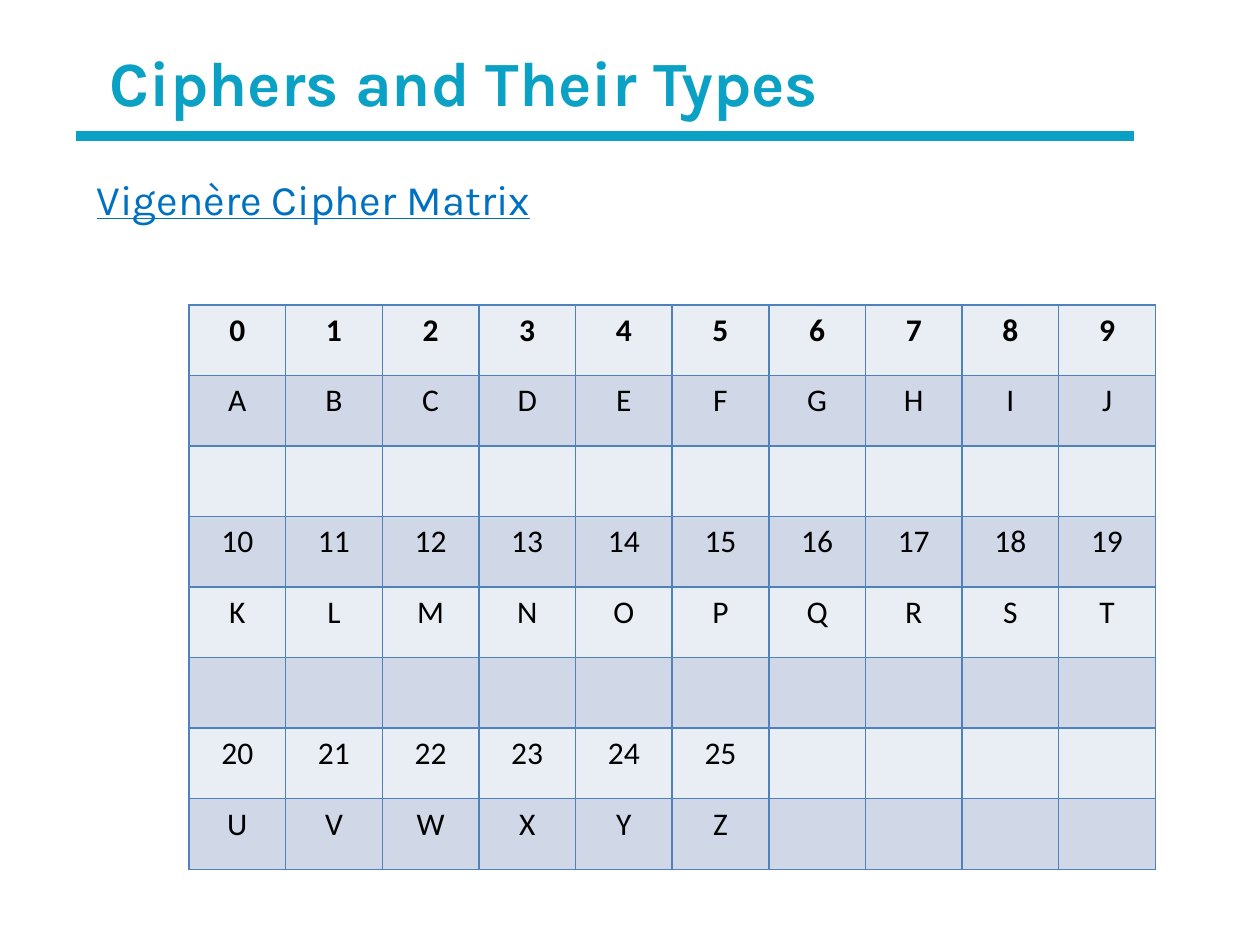
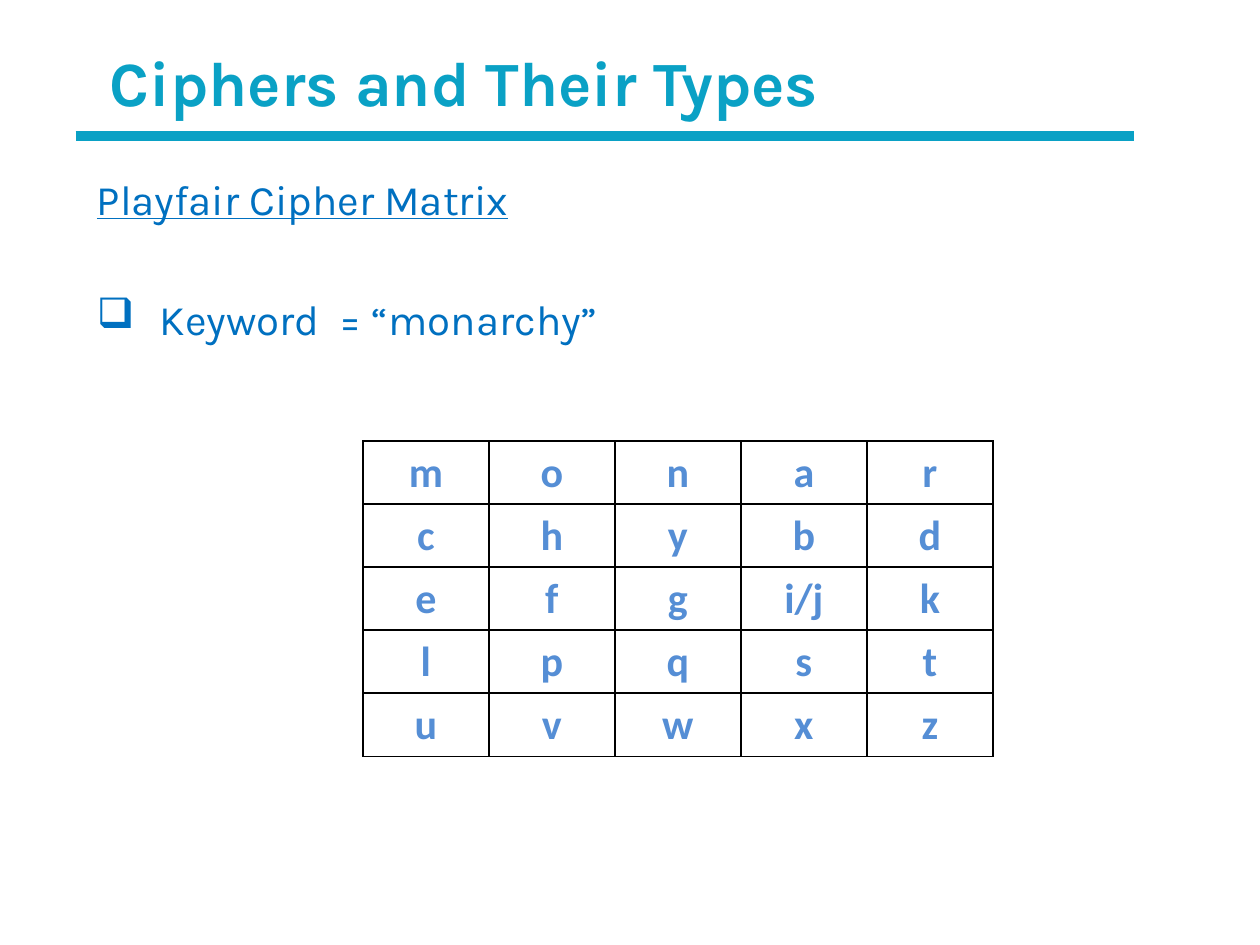
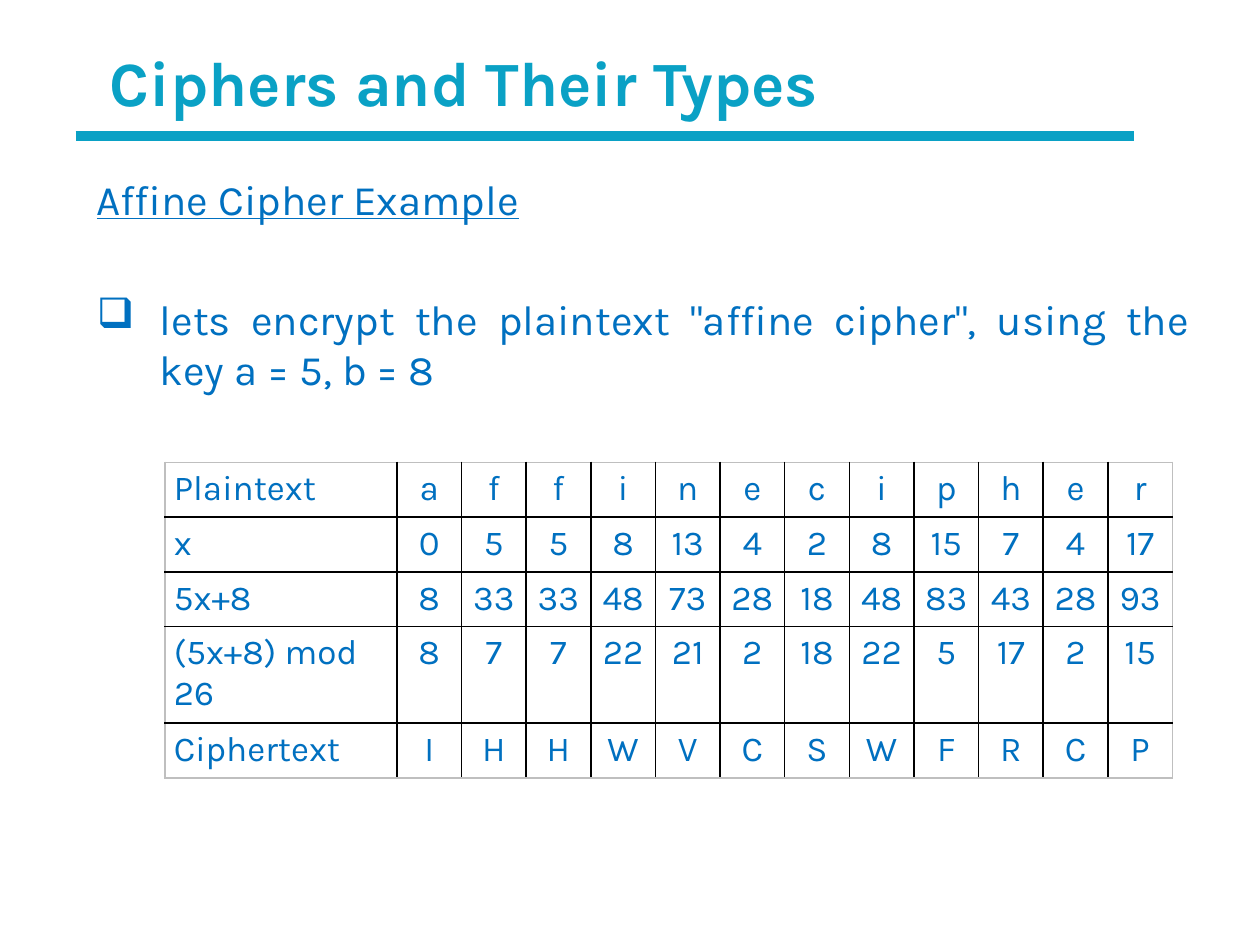
import pptx
import pptx.util
import pptx.dml.color
import pptx.enum.shapes
import pptx.enum.text
import pptx.oxml
import pptx.oxml.ns
from lxml import etree

Inches = pptx.util.Inches
Pt = pptx.util.Pt
RGBColor = pptx.dml.color.RGBColor
Align = pptx.enum.text.PP_ALIGN
Anchor = pptx.enum.text.MSO_ANCHOR
qn = pptx.oxml.ns.qn

TEAL = RGBColor(0x0A, 0xA1, 0xC5)
BLUE = RGBColor(0x00, 0x70, 0xC0)
SKY = RGBColor(0x55, 0x8E, 0xD5)
STEEL = RGBColor(0x4F, 0x81, 0xBD)
PALE = RGBColor(0xE9, 0xED, 0xF4)
MIST = RGBColor(0xD0, 0xD8, 0xE8)
GREY = RGBColor(0xBF, 0xBF, 0xBF)
BLACK = RGBColor(0, 0, 0)


def style(para, size, face, color, bold=False, line=False):
    for run in para.runs:
        font = run.font
        font.size, font.name, font.bold = Pt(size), face, bold
        font.underline = line
        font.color.rgb = color


def edge(cell, side, color):
    line = etree.SubElement(cell._tc.get_or_add_tcPr(), qn("a:ln" + side), w=str(Pt(1)))
    fill = etree.SubElement(line, qn("a:solidFill"))
    etree.SubElement(fill, qn("a:srgbClr"), val=str(color))


# Content: heading, bullet and table of each slide
pages = [
    {"head": "Vigenère Cipher Matrix", "note": None,
     "at": (1.5, 2.42), "cols": [0.767] * 10, "rows": [0.56] * 8,
     "font": (18, "Calibri", BLACK), "bold": [0], "fills": [PALE, MIST],
     "line": STEEL, "rim": STEEL, "pad": 0.1, "lead": False,
     "data": ["0 1 2 3 4 5 6 7 8 9".split(), "A B C D E F G H I J".split(), [],
              "10 11 12 13 14 15 16 17 18 19".split(), "K L M N O P Q R S T".split(), [],
              "20 21 22 23 24 25".split(), "U V W X Y Z".split()]},
    {"head": "Playfair Cipher Matrix", "note": "Keyword  = “monarchy”",
     "at": (2.88, 3.5), "cols": [1] * 5, "rows": [0.5] * 5,
     "font": (24, "Calibri", SKY), "bold": range(5), "fills": None,
     "line": BLACK, "rim": BLACK, "pad": 0.07, "lead": False,
     "data": ["m o n a r".split(), "c h y b d".split(), "e f g i/j k".split(),
              "l p q s t".split(), "u v w x z".split()]},
    {"head": "Affine Cipher Example",
     "note": 'lets encrypt the plaintext "affine cipher", using the key a = 5, b = 8',
     "at": (1.31, 3.67), "cols": [1.84] + [(8 - 1.84) / 12] * 12,
     "rows": [0.42, 0.42, 0.42, 0.75, 0.42],
     "font": (20, "Karla", BLUE), "bold": [], "fills": None,
     "line": BLACK, "rim": GREY, "pad": 0.07, "lead": True,
     "data": [["Plaintext", *"affinecipher"],
              ["x", *"0 5 5 8 13 4 2 8 15 7 4 17".split()],
              ["5x+8", *"8 33 33 48 73 28 18 48 83 43 28 93".split()],
              ["(5x+8) mod 26", *"8 7 7 22 21 2 18 22 5 17 2 15".split()],
              ["Ciphertext", *"IHHWVCSWFRCP"]]},
]

prs = pptx.Presentation()
prs.slide_width, prs.slide_height = Inches(10), Inches(7.5)

for page in pages:
    slide = prs.slides.add_slide(prs.slide_layouts[5])

    # Title
    title = slide.shapes.title
    title.left, title.top = Inches(0.67), Inches(0.17)
    title.width, title.height = Inches(9.17), Inches(0.95)
    frame = title.text_frame
    frame.text = "Ciphers and Their Types"
    frame.margin_left = Inches(0.2)
    frame.vertical_anchor = Anchor.MIDDLE
    frame.paragraphs[0].alignment = Align.LEFT
    style(frame.paragraphs[0], 36, "Karla", TEAL, bold=True)

    # Rule under the title
    rule = slide.shapes.add_connector(pptx.enum.shapes.MSO_CONNECTOR.STRAIGHT,
                                      Inches(0.6), Inches(1.08), Inches(9), Inches(1.08))
    rule.line.color.rgb = TEAL
    rule.line.width = Pt(5.5)
    etree.SubElement(rule._element.spPr, qn("a:effectLst"))

    # Heading and bullet
    body = slide.shapes.add_textbox(Inches(0.67), Inches(1.28), Inches(9.17), Inches(6.05))
    frame = body.text_frame
    frame.word_wrap = True
    frame.margin_left = frame.margin_top = frame.margin_bottom = Inches(0.1)
    frame.margin_right = Inches(0.4)
    head = frame.paragraphs[0]
    head.text = page["head"]
    head.alignment = Align.JUSTIFY
    style(head, 24, "Karla", BLUE, line=True)
    if page["note"]:
        note = frame.add_paragraph()
        note.text = page["note"]
        note.alignment = Align.JUSTIFY
        note.space_before = Pt(39.5)
        props = note._p.get_or_add_pPr()
        props.set("marL", str(Inches(0.5)))
        props.set("indent", str(Inches(-0.5)))
        etree.SubElement(props, qn("a:buChar"), char="❑")
        style(note, 24, "Karla", BLUE)

    # Table
    cols, rows = page["cols"], page["rows"]
    left, top = page["at"]
    table = slide.shapes.add_table(len(rows), len(cols), Inches(left), Inches(top),
                                   Inches(sum(cols)), Inches(sum(rows))).table
    table.first_row = table.horz_banding = False
    for col, width in zip(table.columns, cols):
        col.width = Inches(width)
    for r, high in enumerate(rows):
        table.rows[r].height = Inches(high)
        for c in range(len(cols)):
            cell = table.cell(r, c)
            cell.margin_left = cell.margin_right = Inches(page["pad"])
            rims = {"L": c == 0, "R": c == len(cols) - 1, "T": r == 0, "B": r == len(rows) - 1}
            for side, outer in rims.items():
                edge(cell, side, page["rim"] if outer else page["line"])
            if page["fills"]:
                cell.fill.solid()
                cell.fill.fore_color.rgb = page["fills"][r % 2]
            else:
                cell.fill.background()
            if c < len(page["data"][r]):
                para = cell.text_frame.paragraphs[0]
                para.text = page["data"][r][c]
                para.alignment = Align.LEFT if page["lead"] and c == 0 else Align.CENTER
                style(para, *page["font"], bold=r in page["bold"])

prs.save("out.pptx")
